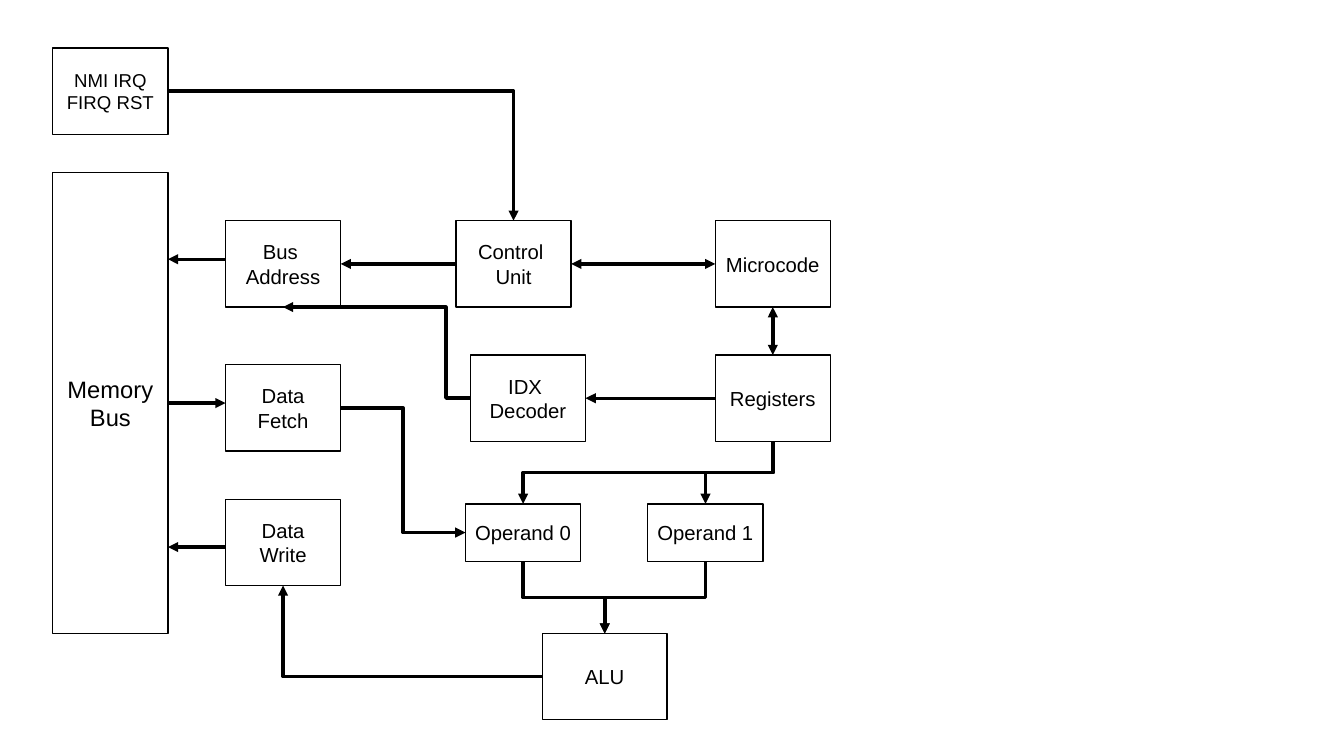
from lxml.etree import SubElement
from pptx import Presentation
from pptx.dml.color import RGBColor
from pptx.enum.shapes import MSO_CONNECTOR, MSO_SHAPE
from pptx.enum.text import MSO_ANCHOR, PP_ALIGN
from pptx.oxml.ns import qn
from pptx.util import Pt

BLACK = RGBColor(0x00, 0x00, 0x00)
WHITE = RGBColor(0xFF, 0xFF, 0xFF)
FONT = "Arial"
HAIRLINE = Pt(0)
WIDTH, HEIGHT = 68, 51
OPERAND_HEIGHT = 34

# left, top, width, height in points
BLOCKS = {
    "Control \nUnit": (269.3, 130.4, WIDTH, HEIGHT),
    "Registers": (422.4, 209.7, WIDTH, HEIGHT),
    "IDX \nDecoder": (277.8, 209.7, WIDTH, HEIGHT),
    "Microcode": (422.4, 130.4, WIDTH, HEIGHT),
    "ALU": (320.3, 374.2, 73.7, HEIGHT),
    "Bus \nAddress": (133.2, 130.4, WIDTH, HEIGHT),
    "Data\nFetch": (133.2, 215.4, WIDTH, HEIGHT),
    "Data\nWrite": (133.2, 294.8, WIDTH, HEIGHT),
    "Memory\nBus": (31.2, 102, WIDTH, 272.2),
    "Operand 0": (274.9, 297.6, WIDTH, OPERAND_HEIGHT),
    "NMI IRQ\nFIRQ RST": (31.2, 28.3, WIDTH, HEIGHT),
    "Operand 1": (382.6, 297.6, WIDTH, OPERAND_HEIGHT),
}
FONT_SIZES = {"Memory\nBus": 14, "NMI IRQ\nFIRQ RST": 11}
DEFAULT_SIZE = 12

BUS_LANE_TOP, BUS_LANE_STEP = 153.1, 85

STRAIGHT_LINKS = [  # from, side, to, side, arrow at both ends
    ("Registers", "left", "IDX \nDecoder", "right", False),
    ("Control \nUnit", "left", "Bus \nAddress", "right", False),
    ("Microcode", "bottom", "Registers", "top", True),
    ("Control \nUnit", "right", "Microcode", "left", True),
]
CORNER_LINKS = [
    ("ALU", "left", "Data\nWrite", "bottom"),
    ("NMI IRQ\nFIRQ RST", "right", "Control \nUnit", "top"),
]
SIDEWAYS_LINKS = [  # the last value is the bend position along the link
    ("Data\nFetch", "right", "Operand 0", "left", 0.5),
    ("IDX \nDecoder", "left", "Bus \nAddress", "bottom", 0.13),
]
DOWNWARD_LINKS = [
    ("Operand 0", "ALU"),
    ("Operand 1", "ALU"),
    ("Registers", "Operand 1"),
    ("Registers", "Operand 0"),
]


def port(name, side):
    """Return the middle of one side of a block."""
    left, top, width, height = BLOCKS[name]
    across, down = {"left": (0, 0.5), "right": (1, 0.5),
                    "top": (0.5, 0), "bottom": (0.5, 1)}[side]
    return left + across * width, top + down * height


def add_block(slide, label, bounds):
    block = slide.shapes.add_shape(MSO_SHAPE.RECTANGLE, *map(Pt, bounds))
    block.shadow.inherit = False
    block.fill.solid()
    block.fill.fore_color.rgb = WHITE
    block.line.color.rgb = BLACK
    block.line.width = HAIRLINE
    frame = block.text_frame
    frame.word_wrap = False
    frame.vertical_anchor = MSO_ANCHOR.MIDDLE
    frame.text = label
    for paragraph in frame.paragraphs:
        paragraph.alignment = PP_ALIGN.CENTER
        for run in paragraph.runs:
            run.font.name = FONT
            run.font.size = Pt(FONT_SIZES.get(label, DEFAULT_SIZE))
            run.font.color.rgb = BLACK


def add_arrow(slide, start, end, kind=MSO_CONNECTOR.STRAIGHT, both_ends=False):
    arrow = slide.shapes.add_connector(kind, *map(Pt, (*start, *end)))
    arrow.line.color.rgb = BLACK
    arrow.line.width = HAIRLINE
    properties = arrow._element.spPr
    outline = properties.find(qn("a:ln"))
    for tip in ["headEnd", "tailEnd"] if both_ends else ["tailEnd"]:
        SubElement(outline, qn(f"a:{tip}"), type="triangle")
    SubElement(properties, qn("a:effectLst"))
    return arrow


def add_corner_arrow(slide, start, end):
    """Run sideways first, then turn once."""
    arrow = add_arrow(slide, start, end, MSO_CONNECTOR.ELBOW)
    arrow._element.spPr.find(qn("a:prstGeom")).set("prst", "bentConnector2")


def add_sideways_arrow(slide, start, end, bend):
    arrow = add_arrow(slide, start, end, MSO_CONNECTOR.ELBOW)
    adjustments = arrow._element.spPr.find(qn("a:prstGeom")).find(qn("a:avLst"))
    SubElement(adjustments, qn("a:gd"), name="adj1",
               fmla=f"val {round(bend * 100000)}")


def add_downward_arrow(slide, start, end):
    """Run down, across and down: an elbow turned by a quarter about its centre."""
    (x1, y1), (x2, y2) = start, end
    centre_x, centre_y = (x1 + x2) / 2, (y1 + y2) / 2
    half_run, half_drop = abs(x2 - x1) / 2, (y2 - y1) / 2
    goes_right = x2 > x1
    if goes_right:
        half_drop = -half_drop
    arrow = add_arrow(slide, (centre_x - half_drop, centre_y - half_run),
                      (centre_x + half_drop, centre_y + half_run),
                      MSO_CONNECTOR.ELBOW)
    degrees = 270 if goes_right else 90
    arrow._element.spPr.find(qn("a:xfrm")).set("rot", str(degrees * 60000))


def add_bus_arrows(slide):
    bus_edge = port("Memory\nBus", "right")[0]
    block_edge = port("Data\nFetch", "left")[0]
    for lane, to_bus in enumerate([True, False, True]):
        y = BUS_LANE_TOP + lane * BUS_LANE_STEP
        ends = [(block_edge, y), (bus_edge, y)]
        add_arrow(slide, *(ends if to_bus else reversed(ends)))


def main():
    deck = Presentation()
    deck.slide_width, deck.slide_height = Pt(793.7), Pt(446.5)
    slide = deck.slides.add_slide(deck.slide_layouts[6])
    for label, bounds in BLOCKS.items():
        add_block(slide, label, bounds)
    add_bus_arrows(slide)
    for source, exit_side, target, entry_side, both_ends in STRAIGHT_LINKS:
        add_arrow(slide, port(source, exit_side), port(target, entry_side),
                  both_ends=both_ends)
    for source, exit_side, target, entry_side in CORNER_LINKS:
        add_corner_arrow(slide, port(source, exit_side), port(target, entry_side))
    for source, exit_side, target, entry_side, bend in SIDEWAYS_LINKS:
        add_sideways_arrow(slide, port(source, exit_side),
                           port(target, entry_side), bend)
    for source, target in DOWNWARD_LINKS:
        add_downward_arrow(slide, port(source, "bottom"), port(target, "top"))
    deck.save("out.pptx")


if __name__ == "__main__":
    main()
